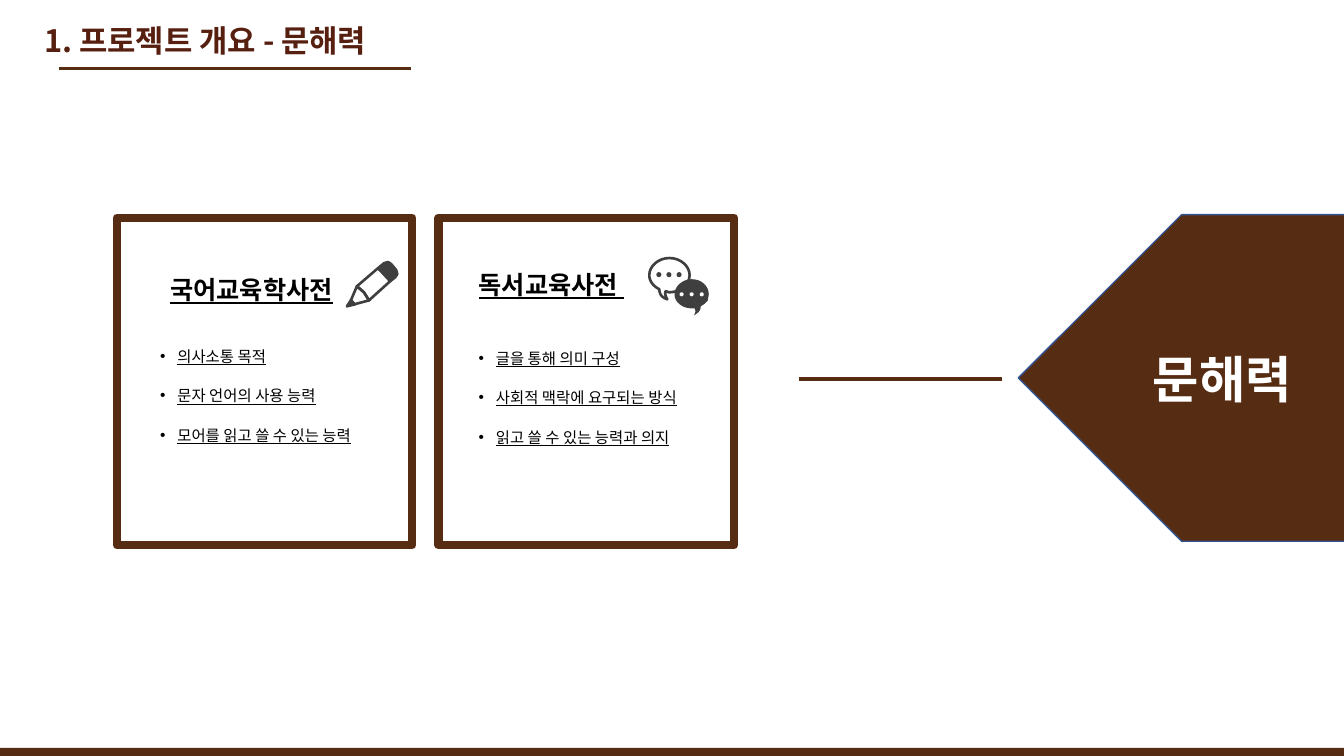
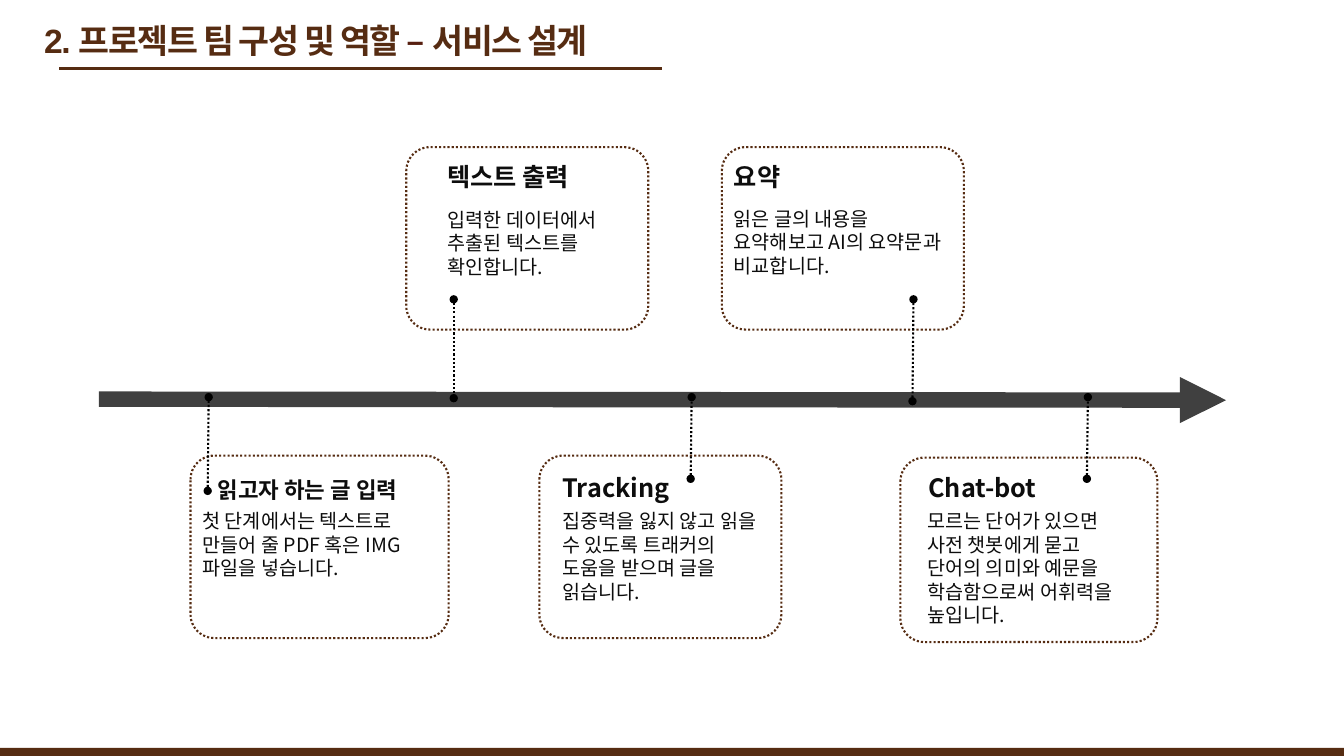
from dataclasses import dataclass

from lxml.etree import SubElement
from pptx import Presentation
from pptx.dml.color import RGBColor
from pptx.enum.dml import MSO_LINE
from pptx.enum.shapes import MSO_CONNECTOR, MSO_SHAPE
from pptx.enum.text import MSO_ANCHOR, PP_ALIGN
from pptx.oxml.ns import qn
from pptx.util import Inches, Pt

COLORS = {
    "brown": "562C12",
    "title": "571F10",
    "icon": "3F3F3F",
    "arrow": "404040",
    "ink": "0D0D0D",
    "black": "000000",
    "white": "FFFFFF",
    "blue": "325491",
}
NOTO = "Noto Sans CJK KR"
ARIAL = "Arial"
LINE_HEIGHT = 1.2
INDENT = Inches(0.17)
BULLET_GAP = Pt(15)

HEADING = {"size": Pt(18), "bold": True, "underline": True, "name": NOTO}
BULLET = {"size": Pt(11), "underline": True, "name": ARIAL}
STEP_BODY = {"size": Pt(14), "name": NOTO}

Box = tuple[float, float, float, float]
Point = tuple[float, float]


@dataclass
class Definition:
    left: float
    heading: str
    heading_box: Box
    align: PP_ALIGN
    bullets: list[str]
    bullet_box: Box


@dataclass
class Step:
    frame: Box
    heading: str
    heading_box: Box
    body: list[str]
    body_box: Box
    link: tuple[Point, Point]
    heading_size: int = 18


@dataclass
class Outline:
    points: list[Point]
    filled: bool


DEFINITIONS = [
    Definition(1.16, "국어교육학사전", (1.49, 2.67, 2.01, 0.43), PP_ALIGN.CENTER,
               ["의사소통 목적", "문자 언어의 사용 능력", "모어를 읽고 쓸 수 있는 능력"],
               (1.49, 3.39, 2.41, 1.28)),
    Definition(4.35, "독서교육사전 ", (4.65, 2.62, 2.06, 0.44), PP_ALIGN.LEFT,
               ["글을 통해 의미 구성", "사회적 맥락에 요구되는 방식", "읽고 쓸 수 있는 능력과 의지"],
               (4.65, 3.41, 2.46, 1.23)),
]

STEPS = [
    Step((1.89, 4.52, 2.56, 1.81), "읽고자 하는 글 입력", (2.06, 4.67, 2.32, 0.37),
         ["첫 단계에서는 텍스트로 만들어 줄 PDF 혹은 IMG 파일을 넣습니다."],
         (1.91, 5, 2.51, 0.81), ((2.07, 3.94), (2.06, 4.87)), 16),
    Step((4.03, 1.46, 2.4, 1.81), "텍스트 출력", (4.34, 1.55, 1.74, 0.4),
         ["입력한 데이터에서 추출된 텍스트를 확인합니다."],
         (4.34, 2.01, 2.13, 0.81), ((4.5, 2.97), (4.5, 3.95))),
    Step((5.35, 4.52, 2.4, 1.81), "Tracking", (5.48, 4.64, 1.48, 0.4),
         ["집중력을 잃지 않고 읽을 수 있도록 트래커의 도움을 받으며 글을 읽습니다."],
         (5.48, 5, 2.15, 1.04), ((6.85, 4.75), (6.86, 3.94))),
    Step((7.16, 1.46, 2.4, 1.81), "요약", (7.18, 1.55, 0.71, 0.4),
         ["읽은 글의 내용을 요약해보고 AI의 요약문과 비교합니다."],
         (7.18, 2, 2.39, 0.81), ((9.06, 2.97), (9.05, 3.98))),
    Step((8.93, 4.54, 2.55, 1.83), "Chat-bot", (9.11, 4.64, 1.3, 0.4),
         ["모르는 단어가 있으면", "사전 챗봇에게 묻고",
          "단어의 의미와 예문을 학습함으로써 어휘력을 높입니다."],
         (9.1, 5, 2.2, 1.28), ((10.78, 4.75), (10.79, 3.94))),
]

PENCIL = [
    Outline([(3.87, 2.79), (3.92, 2.75), (3.94, 2.72), (3.93, 2.68), (3.88, 2.62),
             (3.85, 2.6), (3.81, 2.61), (3.75, 2.66), (3.82, 2.72)], True),
    Outline([(3.66, 2.98), (3.87, 2.79), (3.75, 2.66), (3.54, 2.84), (3.61, 2.9)], False),
    Outline([(3.54, 2.84), (3.48, 2.98), (3.5, 3), (3.51, 3.02), (3.66, 2.98), (3.61, 2.9)], False),
    Outline([(3.5, 3), (3.48, 2.98), (3.44, 3.04), (3.52, 3.02)], True),
]
# Each bubble is a start point followed by cubic curves: two handles and an end point.
LIGHT_BUBBLE = ((6.64, 2.56), [
    ((6.53, 2.56), (6.44, 2.64), (6.44, 2.73)), ((6.44, 2.79), (6.48, 2.84), (6.54, 2.87)),
    ((6.54, 2.9), (6.55, 2.95), (6.62, 2.97)), ((6.62, 2.97), (6.59, 2.93), (6.6, 2.89)),
    ((6.61, 2.89), (6.63, 2.9), (6.64, 2.9)), ((6.75, 2.9), (6.84, 2.82), (6.84, 2.73)),
    ((6.84, 2.64), (6.75, 2.56), (6.64, 2.56)),
])
DARK_BUBBLE = ((7.03, 2.92), [
    ((7.03, 2.84), (6.96, 2.77), (6.86, 2.77)), ((6.77, 2.77), (6.69, 2.84), (6.69, 2.92)),
    ((6.69, 3), (6.77, 3.06), (6.86, 3.06)), ((6.87, 3.06), (6.88, 3.06), (6.89, 3.06)),
    ((6.91, 3.1), (6.88, 3.13), (6.88, 3.13)), ((6.94, 3.1), (6.95, 3.07), (6.95, 3.04)),
    ((6.98, 3.02), (7, 3.01), (7.02, 2.98)), ((7.02, 2.96), (7.03, 2.94), (7.03, 2.92)),
])


def rgb(color: str) -> RGBColor:
    return RGBColor.from_string(COLORS[color])


def style_shape(shape, fill: str = "", line: str = "", width: float = 1) -> None:
    shape.shadow.inherit = False
    if fill:
        shape.fill.solid()
        shape.fill.fore_color.rgb = rgb(fill)
    else:
        shape.fill.background()
    if line:
        shape.line.color.rgb = rgb(line)
        shape.line.width = Pt(width)
    else:
        shape.line.fill.background()


def add_shape(slide, kind: MSO_SHAPE, box: Box, fill: str = "", line: str = "", width: float = 1):
    shape = slide.shapes.add_shape(kind, *map(Inches, box))
    style_shape(shape, fill, line, width)
    return shape


def add_line(slide, start: Point, end: Point, color: str, width: float, head: str = "", tail: str = ""):
    connector = slide.shapes.add_connector(MSO_CONNECTOR.STRAIGHT, *map(Inches, start + end))
    connector.line.color.rgb = rgb(color)
    connector.line.width = Pt(width)
    line = connector.line._get_or_add_ln()
    for tag, end_type in (("a:headEnd", head), ("a:tailEnd", tail)):
        if end_type:
            SubElement(line, qn(tag)).set("type", end_type)
    SubElement(connector._element.spPr, qn("a:effectLst"))
    return connector


def add_run(paragraph, text: str, color: str, font: dict, spacing: int = 0) -> None:
    """Add a run; Korean glyphs always use the Noto face."""
    run = paragraph.add_run()
    run.text = text
    run.font.color.rgb = rgb(color)
    for name, value in font.items():
        setattr(run.font, name, value)
    properties = run._r.get_or_add_rPr()
    SubElement(properties, qn("a:ea")).set("typeface", NOTO)
    if spacing:
        properties.set("spc", str(spacing))


def add_bullet(paragraph) -> None:
    properties = paragraph._p.get_or_add_pPr()
    properties.set("marL", str(INDENT))
    properties.set("indent", str(-INDENT))
    SubElement(properties, qn("a:buFont")).set("typeface", ARIAL)
    SubElement(properties, qn("a:buChar")).set("char", "•")


def add_text(slide, box: Box, lines: list[str], color: str, font: dict,
             align: PP_ALIGN = PP_ALIGN.LEFT, bulleted: bool = False) -> None:
    frame = slide.shapes.add_textbox(*map(Inches, box)).text_frame
    frame.word_wrap = True
    for index, text in enumerate(lines):
        paragraph = frame.add_paragraph() if index else frame.paragraphs[0]
        paragraph.alignment = align
        paragraph.line_spacing = Pt(font["size"].pt * LINE_HEIGHT)
        if bulleted:
            if index:
                paragraph.space_before = BULLET_GAP
            add_bullet(paragraph)
        add_run(paragraph, text, color, font)


def add_page(presentation, runs: list[tuple[str, str, int]], font: dict, title_width: float, rule_end: float):
    """Add a slide with its title, the rule below it and the bottom band."""
    slide = presentation.slides.add_slide(presentation.slide_layouts[6])
    add_shape(slide, MSO_SHAPE.RECTANGLE, (0, 7.42, 13.35, 0.14), "brown")
    frame = slide.shapes.add_textbox(*map(Inches, (0.34, 0.03, title_width, 0.78))).text_frame
    frame.word_wrap = True
    frame.vertical_anchor = MSO_ANCHOR.MIDDLE
    paragraph = frame.paragraphs[0]
    paragraph.line_spacing = 0.9
    for text, color, spacing in runs:
        add_run(paragraph, text, color, {"bold": True, **font}, spacing)
    add_line(slide, (0.59, 0.68), (rule_end, 0.68), "brown", 1.5)
    return slide


def curve_points(start: Point, curves: list[tuple[Point, Point, Point]], pieces: int = 8) -> list[Point]:
    """Sample a chain of cubic curves."""
    points = [start]
    for curve in curves:
        corners = (points[-1], *curve)
        for piece in range(1, pieces + 1):
            t = piece / pieces
            weights = ((1 - t) ** 3, 3 * t * (1 - t) ** 2, 3 * t * t * (1 - t), t ** 3)
            points.append(tuple(sum(w * corner[axis] for w, corner in zip(weights, corners))
                                for axis in (0, 1)))
    return points


def add_outline(slide, points: list[Point], fill: str = "", line: str = "") -> None:
    corners = [(Inches(x), Inches(y)) for x, y in points]
    builder = slide.shapes.build_freeform(*corners[0])
    builder.add_line_segments(corners[1:], close=True)
    style_shape(builder.convert_to_shape(), fill, line, 1.88)


def add_dots(slide, left: float, top: float, pitch: float, size: float, color: str) -> None:
    for index in range(3):
        add_shape(slide, MSO_SHAPE.OVAL, (left + index * pitch, top, size, size), color)


def add_icons(slide) -> None:
    for outline in PENCIL:
        add_outline(slide, outline.points, "icon" if outline.filled else "", "icon")
    add_outline(slide, curve_points(*LIGHT_BUBBLE), line="icon")
    add_dots(slide, 6.51, 2.7, 0.1, 0.05, "icon")
    add_outline(slide, curve_points(*DARK_BUBBLE), fill="icon")
    add_dots(slide, 6.74, 2.9, 0.1, 0.04, "white")


def add_literacy_slide(presentation) -> None:
    slide = add_page(presentation, [("1. 프로젝트 개요 - 문해력", "title", 0)],
                     {"size": Pt(22), "name": NOTO}, 4.33, 4.08)
    for definition in DEFINITIONS:
        add_shape(slide, MSO_SHAPE.RECTANGLE, (definition.left, 2.16, 2.93, 3.25), line="brown", width=6)
        add_text(slide, definition.heading_box, [definition.heading], "black", HEADING, definition.align)
        add_text(slide, definition.bullet_box, definition.bullets, "black", BULLET, bulleted=True)
    add_icons(slide)
    add_line(slide, (7.92, 3.76), (9.94, 3.76), "brown", 3)
    pentagon = add_shape(slide, MSO_SHAPE.PENTAGON, (10.1, 2.13, 3.24, 3.24), "brown", "blue")
    pentagon._element.spPr.find(qn("a:xfrm")).set("flipH", "1")
    pentagon.text_frame.vertical_anchor = MSO_ANCHOR.MIDDLE
    paragraph = pentagon.text_frame.paragraphs[0]
    paragraph.alignment = PP_ALIGN.CENTER
    add_run(paragraph, "문해력", "white", {"size": Pt(36), "bold": True, "name": NOTO})


def add_service_slide(presentation) -> None:
    title = [("2. 프로젝트 팀 구성 및 역할 ", "brown", -100), ("– ", "title", 0), ("서비스 설계", "brown", -100)]
    slide = add_page(presentation, title, {"size": Pt(24), "name": ARIAL}, 9.34, 6.57)
    add_line(slide, (0.98, 3.96), (12.16, 3.97), "arrow", 11, tail="triangle")
    for step in STEPS:
        card = add_shape(slide, MSO_SHAPE.ROUNDED_RECTANGLE, step.frame, line="brown", width=1.5)
        card.adjustments[0] = 0.13
        card.line.dash_style = MSO_LINE.ROUND_DOT
        heading_font = {"size": Pt(step.heading_size), "bold": True, "name": NOTO}
        add_text(slide, step.heading_box, [step.heading], "ink", heading_font)
        add_text(slide, step.body_box, step.body, "ink", STEP_BODY)
        link = add_line(slide, *step.link, "black", 1.5, "oval", "oval")
        link.line.dash_style = MSO_LINE.ROUND_DOT


def main() -> None:
    presentation = Presentation()
    presentation.slide_width = Inches(13.33)
    presentation.slide_height = Inches(7.5)
    add_literacy_slide(presentation)
    add_service_slide(presentation)
    presentation.save("out.pptx")


if __name__ == "__main__":
    main()
